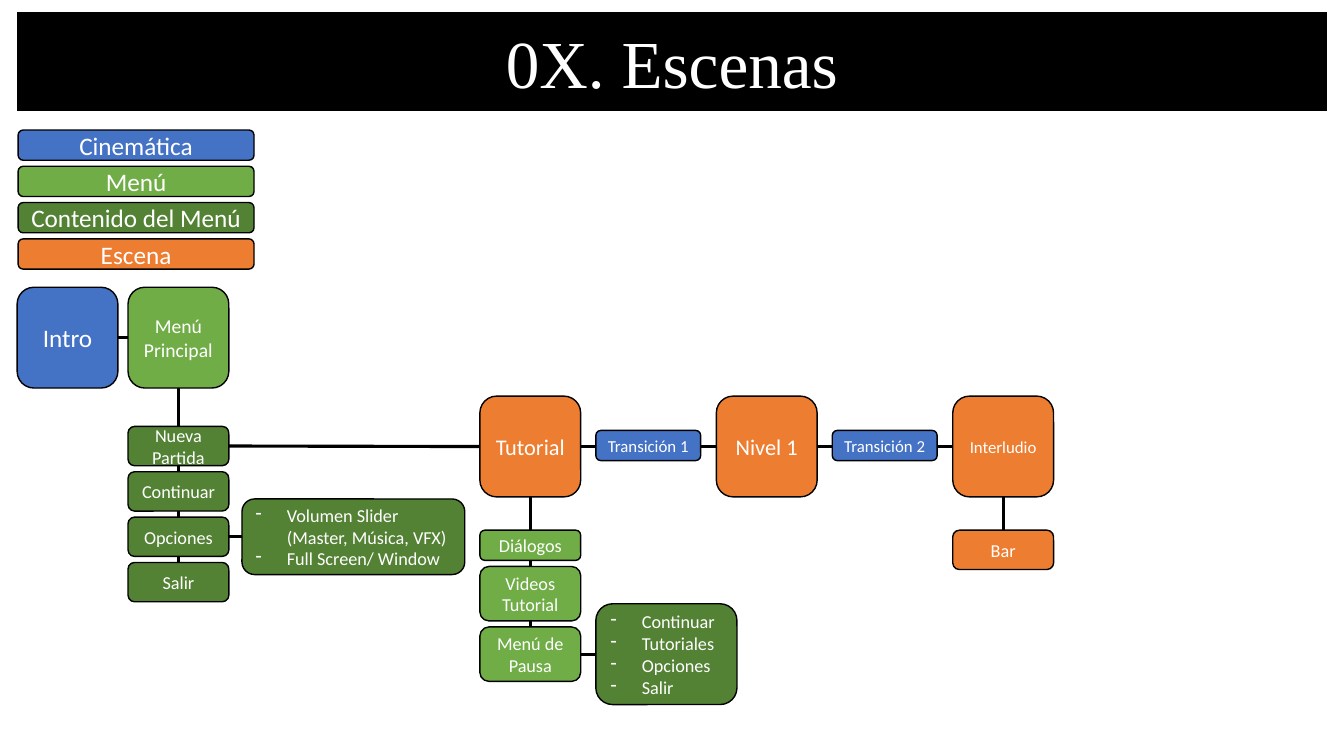
import pptx
import pptx.util
import pptx.dml.color
import pptx.enum.shapes
import pptx.enum.text
import pptx.oxml
import pptx.oxml.ns
from dataclasses import dataclass

# The grid's unit is one square scene tile, an inch wide
TILE = pptx.util.Inches(1)
SLIDE_COLUMNS, SLIDE_ROWS = 13.33, 7.5
INTRO_COLUMN, MENU_COLUMN, TUTORIAL_COLUMN = 0.17, 1.27, 4.76
SCENE_STEP, SCENE_ROW = 2.345, 3.93
TRANSITION_OFFSET = 1.15
LOW, MEDIUM, HIGH = 0.3, 0.39, 0.54
TOP, LEFT, BOTTOM, RIGHT = range(4)  # connection sites of a box


@dataclass(frozen=True)
class Theme:
    cinematic: str = "4472C4"
    menu: str = "70AD47"
    content: str = "548235"
    scene: str = "ED7D31"
    ink: str = "000000"
    paper: str = "FFFFFF"
    title_font: str = "Times New Roman"
    body_font: str = "Calibri"
    title_size: int = 48
    large: int = 18
    heading: int = 16
    medium: int = 14
    body: int = 13
    small: int = 12
    outline: float = 1
    link: float = 2.25


THEME = Theme()


def set_attributes(target, values):
    for name, value in values.items():
        setattr(target, name, value)


def color(value):
    return pptx.dml.color.RGBColor.from_string(value)


def place(shape, column, row, columns, rows):
    lengths = {"left": column, "top": row, "width": columns, "height": rows}
    set_attributes(shape, {name: round(value * TILE) for name, value in lengths.items()})


def paint(shape, fill):
    shape.fill.solid()
    shape.fill.fore_color.rgb = color(fill)


def write(shape, lines, size, font, alignment=pptx.enum.text.PP_ALIGN.CENTER):
    frame = shape.text_frame
    set_attributes(frame, {
        "text": "\n".join(lines),
        "word_wrap": True,
        "auto_size": pptx.enum.text.MSO_AUTO_SIZE.NONE,
        "vertical_anchor": pptx.enum.text.MSO_ANCHOR.MIDDLE,
    })
    for paragraph in frame.paragraphs:
        paragraph.alignment = alignment
        for run in paragraph.runs:
            set_attributes(run.font, {"name": font, "size": pptx.util.Pt(size)})
            run.font.color.rgb = color(THEME.paper)


def add_title(slide, text):
    title = slide.shapes.title
    place(title, INTRO_COLUMN, 0.12, 12.99, 0.98)
    # Round the placeholder's corners
    geometry = pptx.oxml.parse_xml(
        f'<a:prstGeom {pptx.oxml.ns.nsdecls("a")} prst="roundRect"><a:avLst/></a:prstGeom>')
    title._element.spPr.append(geometry)
    paint(title, THEME.ink)
    write(title, [text], THEME.title_size, THEME.title_font)


def add_box(slide, lines, area, fill, size=THEME.body,
            alignment=pptx.enum.text.PP_ALIGN.CENTER):
    box = slide.shapes.add_shape(pptx.enum.shapes.MSO_SHAPE.ROUNDED_RECTANGLE, 0, 0, 0, 0)
    place(box, *area)
    paint(box, fill)
    box.shadow.inherit = False
    box.line.color.rgb = color(THEME.ink)
    box.line.width = pptx.util.Pt(THEME.outline)
    write(box, lines, size, THEME.body_font, alignment)
    return box


def add_list(slide, items, area):
    box = add_box(slide, items, area, THEME.content,
                  alignment=pptx.enum.text.PP_ALIGN.LEFT)
    indent = round(0.31 * TILE)
    for paragraph in box.text_frame.paragraphs:
        properties = paragraph._p.get_or_add_pPr()
        properties.set("marL", str(indent))
        properties.set("indent", str(-indent))
        properties.append(pptx.oxml.parse_xml(
            f'<a:buChar {pptx.oxml.ns.nsdecls("a")} char="-"/>'))
    return box


def add_link(slide, start, start_site, end, end_site):
    link = slide.shapes.add_connector(
        pptx.enum.shapes.MSO_CONNECTOR.STRAIGHT, 0, 0, 0, 0)
    link.begin_connect(start, start_site)
    link.end_connect(end, end_site)
    link.line.color.rgb = color(THEME.ink)
    link.line.width = pptx.util.Pt(THEME.link)
    link._element.spPr.append(pptx.oxml.parse_xml(
        f'<a:effectLst {pptx.oxml.ns.nsdecls("a")}/>'))
    # Links run behind every box
    slide.shapes[0]._element.addprevious(link._element)


def add_legend(slide):
    entries = [("Cinemática", THEME.cinematic), ("Menú", THEME.menu),
               ("Contenido del Menú", THEME.content), ("Escena", THEME.scene)]
    for index, (label, fill) in enumerate(entries):
        add_box(slide, [label], (0.18, 1.29 + 0.36 * index, 2.34, LOW), fill, THEME.large)


def add_main_menu(slide):
    intro = add_box(slide, ["Intro"], (INTRO_COLUMN, 2.85, 1, 1),
                    THEME.cinematic, THEME.large)
    menu = add_box(slide, ["Menú Principal"], (MENU_COLUMN, 2.85, 1, 1),
                   THEME.menu, THEME.medium)
    labels = ["Nueva Partida", "Continuar", "Opciones", "Salir"]
    new_game, _, options, leave = [
        add_box(slide, [label], (MENU_COLUMN, 4.23 + 0.45 * index, 1, MEDIUM), THEME.content)
        for index, label in enumerate(labels)]
    settings = add_list(
        slide, ["Volumen Slider (Master, Música, VFX)", "Full Screen/ Window"],
        (2.4, 4.95, 2.21, 0.75))
    add_link(slide, intro, RIGHT, menu, LEFT)
    add_link(slide, menu, BOTTOM, leave, TOP)
    add_link(slide, options, RIGHT, settings, LEFT)
    return new_game


def add_scenes(slide):
    scenes = [("Tutorial", THEME.heading), ("Nivel 1", THEME.heading),
              ("Interludio", THEME.small)]
    columns = [TUTORIAL_COLUMN + SCENE_STEP * index for index in range(len(scenes))]
    tutorial, _, interlude = [
        add_box(slide, [label], (column, SCENE_ROW, 1, 1), THEME.scene, size)
        for column, (label, size) in zip(columns, scenes)]
    for number, column in enumerate(columns[:-1], start=1):
        add_box(slide, [f"Transición {number}"],
                (column + TRANSITION_OFFSET, 4.27, 1.04, LOW), THEME.cinematic, THEME.small)
    bar = add_box(slide, ["Bar"], (columns[-1], 5.26, 1, MEDIUM), THEME.scene)
    add_link(slide, tutorial, RIGHT, interlude, LEFT)
    add_link(slide, interlude, BOTTOM, bar, TOP)
    return tutorial


def add_tutorial_menus(slide, tutorial):
    menus = [("Diálogos", 5.26, LOW), ("Videos Tutorial", 5.62, HIGH),
             ("Menú de Pausa", 6.22, HIGH)]
    boxes = [add_box(slide, [label], (TUTORIAL_COLUMN, row, 1, rows), THEME.menu)
             for label, row, rows in menus]
    pause = boxes[-1]
    choices = add_list(slide, ["Continuar", "Tutoriales", "Opciones", "Salir"],
                       (TUTORIAL_COLUMN + TRANSITION_OFFSET, 5.99, 1.4, 1))
    add_link(slide, tutorial, BOTTOM, pause, TOP)
    add_link(slide, pause, RIGHT, choices, LEFT)


def main():
    presentation = pptx.Presentation()
    set_attributes(presentation, {"slide_width": round(SLIDE_COLUMNS * TILE),
                                  "slide_height": round(SLIDE_ROWS * TILE)})
    slide = presentation.slides.add_slide(
        presentation.slide_layouts.get_by_name("Title Only"))
    add_title(slide, "0X. Escenas")
    add_legend(slide)
    new_game = add_main_menu(slide)
    tutorial = add_scenes(slide)
    add_link(slide, new_game, RIGHT, tutorial, LEFT)
    add_tutorial_menus(slide, tutorial)
    presentation.save("out.pptx")


if __name__ == "__main__":
    main()
